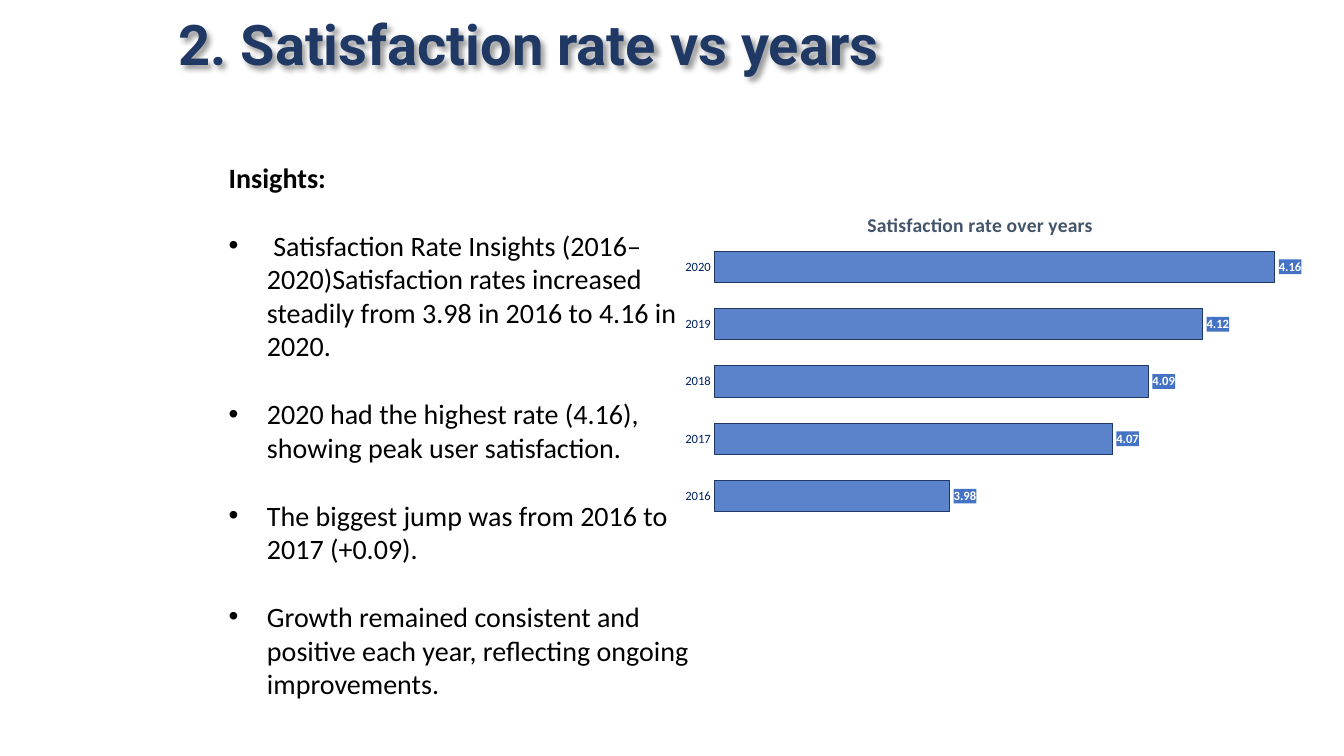
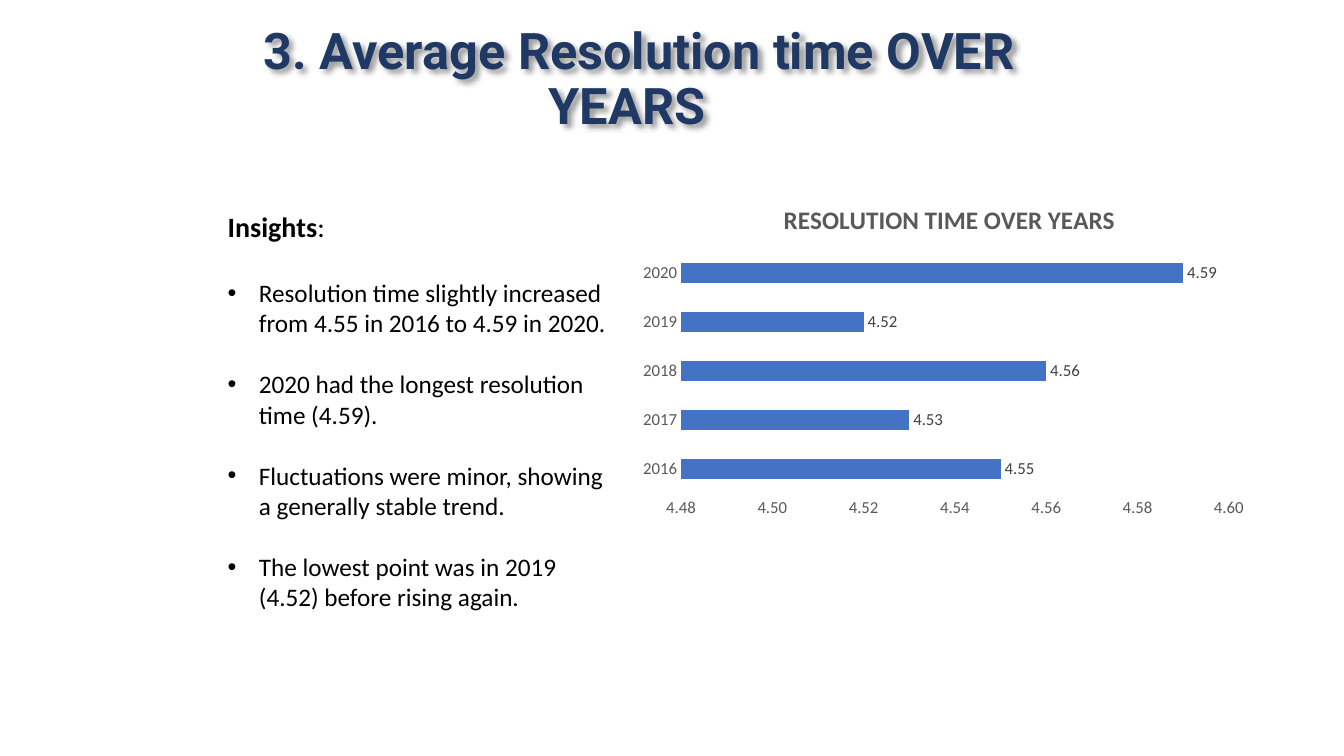
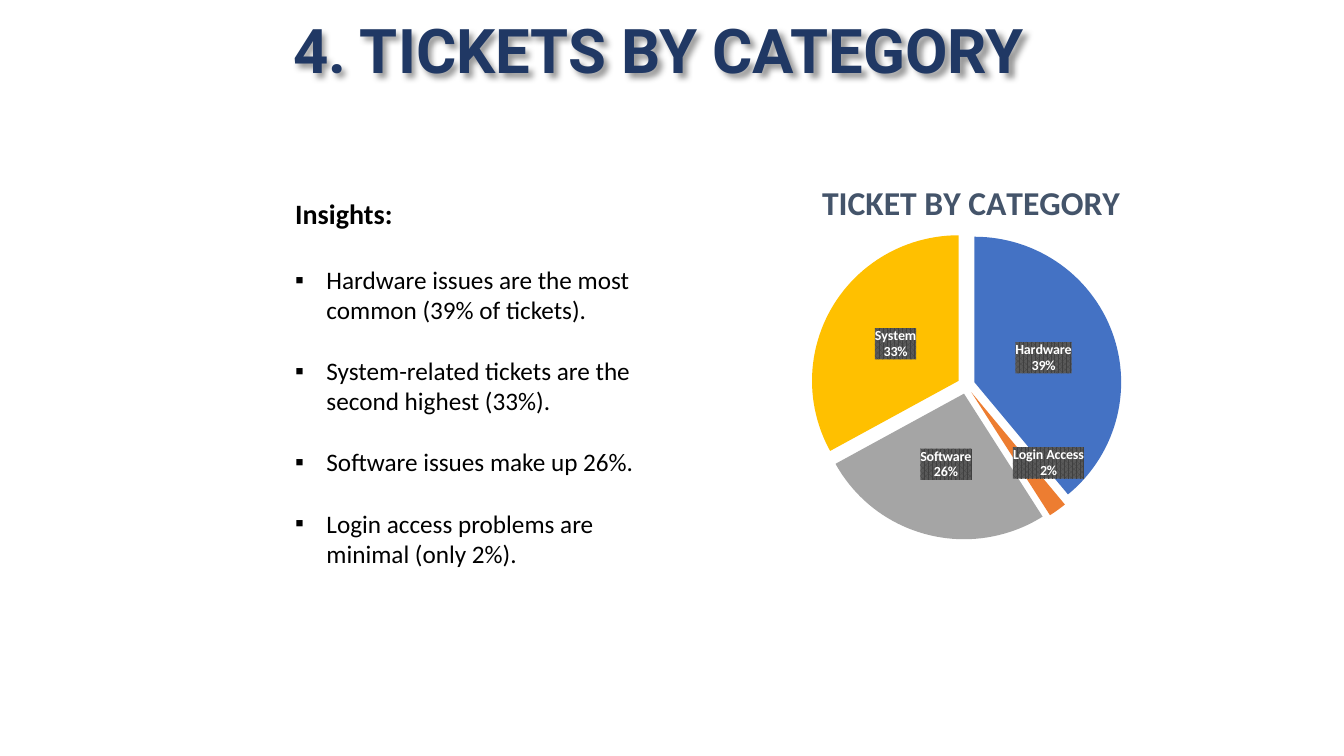
from copy import deepcopy

from pptx import Presentation
from pptx.chart.data import CategoryChartData
from pptx.dml.color import RGBColor
from pptx.enum.chart import XL_CHART_TYPE as ChartType
from pptx.enum.chart import XL_LABEL_POSITION as LabelPosition
from pptx.enum.chart import XL_TICK_MARK as TickMark
from pptx.enum.text import MSO_ANCHOR as Anchor
from pptx.enum.text import MSO_AUTO_SIZE as AutoSize
from pptx.enum.text import PP_ALIGN as Align
from pptx.oxml import parse_xml
from pptx.oxml.ns import nsdecls, qn
from pptx.util import Inches, Pt

# Shared look
NAVY = RGBColor(0x20, 0x38, 0x64)
AXIS_NAVY = RGBColor(0x00, 0x20, 0x60)
SLATE = RGBColor(0x44, 0x54, 0x6A)
BLACK = RGBColor(0x00, 0x00, 0x00)
WHITE = RGBColor(0xFF, 0xFF, 0xFF)
DARK_GREY = RGBColor(0x40, 0x40, 0x40)
MID_GREY = RGBColor(0x59, 0x59, 0x59)
BLUE = RGBColor(0x44, 0x72, 0xC4)
ORANGE = RGBColor(0xED, 0x7D, 0x31)
GREY = RGBColor(0xA5, 0xA5, 0xA5)
GOLD = RGBColor(0xFF, 0xC0, 0x00)
TITLE_FONT = "Roboto"
BODY_FONT = "Calibri"
LINE_HEIGHT = 1.22
YEARS = ["2016", "2017", "2018", "2019", "2020"]


def xml(text):
    """Parse a fragment, declaring the chart and drawing namespaces."""
    head, mark, tail = text.partition(">")
    slash = "/" if head.endswith("/") else ""
    return parse_xml(f"{head.rstrip('/')} {nsdecls('a', 'c')}{slash}{mark}{tail}")


def set_font(font, size, color, bold=False, name=BODY_FONT):
    font.name, font.size, font.bold = name, Pt(size), bold
    font.color.rgb = color


# Text
def add_text(frame, text, first=False, size=18, color=BLACK, bold=False,
             font=BODY_FONT, align=Align.LEFT, spacing=None, before=0,
             indent=0, bullet=None):
    """Write one paragraph and return it."""
    para = frame.paragraphs[0] if first else frame.add_paragraph()
    para.alignment = align
    para.space_before = Pt(before)
    if spacing:
        para.line_spacing = spacing
    span = para.add_run()
    span.text = text
    set_font(span.font, size, color, bold, font)
    props = para._p.get_or_add_pPr()
    if indent:
        props.set("marL", str(Inches(indent)))
    if bullet:
        props.set("indent", str(-Inches(indent)))
        props.append(xml('<a:buFont typeface="Arial"/>'))
        props.append(xml(f'<a:buChar char="{bullet}"/>'))
    return para


def add_box(page, left, top, width, height):
    box = page.shapes.add_textbox(*map(Inches, (left, top, width, height)))
    box.text_frame.word_wrap = True
    return box


def add_title(page, place, lines, size, align=Align.LEFT, first_indent=0):
    box = add_box(page, *place)
    box.text_frame.vertical_anchor = Anchor.MIDDLE
    for number, line in enumerate(lines):
        add_text(box.text_frame, line, first=number == 0, size=size,
                 color=NAVY, bold=True, font=TITLE_FONT, align=align,
                 spacing=0.9, indent=0 if number else first_indent)
    box._element.spPr.append(xml(
        '<a:effectLst><a:outerShdw blurRad="50800" dist="38100" dir="2700000">'
        '<a:srgbClr val="000000"><a:alpha val="40000"/></a:srgbClr>'
        '</a:outerShdw></a:effectLst>'))


def add_insights(page, place, points, size=18, indent=0.31, bullet="•",
                 bold_colon=True):
    box = add_box(page, *place)
    frame = box.text_frame
    frame.auto_size = AutoSize.SHAPE_TO_FIT_TEXT
    heading = add_text(frame, "Insights", first=True, size=20, bold=True)
    colon = heading.add_run()
    colon.text = ":"
    set_font(colon.font, 20, BLACK, bold_colon)
    for number, point in enumerate(points):
        gap = LINE_HEIGHT * (size if number else 20)
        add_text(frame, point, size=size, before=round(gap, 1),
                 indent=indent, bullet=bullet)


# Charts
def manual_layout(x, y, width=None, height=None):
    inner = '<c:layoutTarget val="inner"/>' if width else ""
    size = f'<c:w val="{width}"/><c:h val="{height}"/>' if width else ""
    return xml('<c:layout><c:manualLayout>' + inner +
               '<c:xMode val="edge"/><c:yMode val="edge"/>'
               f'<c:x val="{x}"/><c:y val="{y}"/>{size}'
               '</c:manualLayout></c:layout>')


def add_chart(page, kind, place, cats, values, title, title_at, title_size,
              title_color, plot_at, number_format="0.00"):
    data = CategoryChartData(number_format=number_format)
    data.categories = cats
    data.add_series("Series 1", values)
    chart = page.shapes.add_chart(kind, *map(Inches, place), data).chart
    set_font(chart.font, 10, BLACK)
    chart.has_legend = False
    chart.has_title = True
    frame = chart.chart_title.text_frame
    add_text(frame, title, first=True, size=title_size, color=title_color,
             bold=True, align=Align.CENTER)
    chart.chart_title.include_in_layout = False
    # Fixed places for the heading and the plot
    heading = chart._chartSpace.chart.find(qn("c:title"))
    area = chart._chartSpace.chart.plotArea
    for parent, layout in ((heading, manual_layout(*title_at)),
                           (area, manual_layout(*plot_at))):
        for old in parent.findall(qn("c:layout")):
            parent.remove(old)
        parent.insert(1 if parent is heading else 0, layout)
    return chart


def style_labels(series, size, color, bold, position, number_format="0.00",
                 fill=None):
    labels = series.data_labels
    set_font(labels.font, size, color, bold)
    labels.number_format = number_format
    labels.number_format_is_linked = False
    labels.show_value = True
    labels.position = position
    if fill:
        labels._element.find(qn("c:txPr")).addprevious(
            xml(f"<c:spPr>{fill}</c:spPr>"))
    return labels


def add_bar_chart(page, place, values, title, title_at, title_size,
                  title_color, plot_at, gap, scale, axis_size, axis_color,
                  show_values=True):
    chart = add_chart(page, ChartType.BAR_CLUSTERED, place, YEARS, values,
                      title, title_at, title_size, title_color, plot_at)
    plot = chart.plots[0]
    plot.gap_width = gap
    plot.vary_by_categories = False
    for axis in (chart.category_axis, chart.value_axis):
        axis.major_tick_mark = axis.minor_tick_mark = TickMark.NONE
        axis.has_major_gridlines = False
        axis.format.line.fill.background()
        set_font(axis.tick_labels.font, axis_size, axis_color)
    value_axis = chart.value_axis
    value_axis.minimum_scale, value_axis.maximum_scale, value_axis.major_unit = scale
    value_axis.tick_labels.number_format = "0.00"
    value_axis.tick_labels.number_format_is_linked = False
    value_axis.visible = show_values
    series = plot.series[0]
    series.format.fill.solid()
    series.format.fill.fore_color.rgb = BLUE
    return series


def add_pie_chart(page, place, slices, title, title_at, plot_at):
    chart = add_chart(page, ChartType.PIE, place, [name for name, _, _ in slices],
                      [value for _, value, _ in slices], title, title_at, 24,
                      SLATE, plot_at, number_format="0")
    chart.plots[0].vary_by_categories = True
    series = chart.plots[0].series[0]
    for number, (_, _, color) in enumerate(slices):
        fill = series.points[number].format.fill
        fill.solid()
        fill.fore_color.rgb = color
    for point in series._element.findall(qn("c:dPt")):
        point.find(qn("c:spPr")).addprevious(xml('<c:explosion val="6"/>'))
    # Name and share on a dark patterned ground
    pattern = ('<a:pattFill prst="pct75">'
               f'<a:fgClr><a:srgbClr val="{DARK_GREY}"/></a:fgClr>'
               f'<a:bgClr><a:srgbClr val="{MID_GREY}"/></a:bgClr></a:pattFill>')
    labels = style_labels(series, 10, WHITE, True, LabelPosition.CENTER, "0%",
                          pattern)
    labels.show_value = False
    labels.show_category_name = labels.show_percentage = True
    element = labels._element
    bubble = element.find(qn("c:showBubbleSize"))
    bubble.addnext(xml("<c:separator>\n</c:separator>"))
    # The thin slice has its label moved aside
    moved = xml('<c:dLbl><c:idx val="1"/><c:layout><c:manualLayout>'
                '<c:x val="0.055"/><c:y val="0.03"/>'
                '</c:manualLayout></c:layout></c:dLbl>')
    for child in element:
        if child.tag != qn("c:showLeaderLines"):
            moved.append(deepcopy(child))
    element.insert(0, moved)


# Slides
def satisfaction_slide(page):
    add_title(page, (1.67, 0.02, 9, 0.9), ["2. Satisfaction rate vs years"], 40)
    series = add_bar_chart(
        page, (6.67, 1.82, 6.78, 3.46), [3.98, 4.07, 4.09, 4.12, 4.16],
        "Satisfaction rate over years", (0.28, 0.07), 14, SLATE,
        (0.062, 0.157, 0.925, 0.822), gap=84, scale=(3.85, 4.2, 0.05),
        axis_size=9, axis_color=AXIS_NAVY, show_values=False)
    series.format.line.color.rgb = NAVY
    series.format.line.width = Pt(0.75)
    color = series._element.spPr.find(qn("a:solidFill"))[0]
    color.append(xml('<a:alpha val="88000"/>'))
    style_labels(series, 9, WHITE, True, LabelPosition.OUTSIDE_END,
                 fill=f'<a:solidFill><a:srgbClr val="{BLUE}"/></a:solidFill>')
    add_insights(page, (2.17, 1.54, 4.94, 5.49), [
        " Satisfaction Rate Insights (2016–2020)Satisfaction rates increased "
        "steadily from 3.98 in 2016 to 4.16 in 2020.",
        "2020 had the highest rate (4.16), showing peak user satisfaction.",
        "The biggest jump was from 2016 to 2017 (+0.09).",
        "Growth remained consistent and positive each year, reflecting ongoing "
        "improvements."], size=20, indent=0.38)


def resolution_slide(page):
    add_title(page, (0.9, 0.16, 10.64, 1.28),
              ["3. Average Resolution time OVER", "YEARS"], 36,
              align=Align.CENTER, first_indent=0.24)
    add_insights(page, (2.16, 2.03, 4.06, 4.41), [
        "Resolution time slightly increased from 4.55 in 2016 to 4.59 in 2020.",
        "2020 had the longest resolution time (4.59).",
        "Fluctuations were minor, showing a generally stable trend.",
        "The lowest point was in 2019 (4.52) before rising again."],
        bold_colon=False)
    series = add_bar_chart(
        page, (5.98, 1.73, 6.99, 3.84), [4.55, 4.53, 4.56, 4.52, 4.59],
        "RESOLUTION TIME OVER YEARS", (0.25, 0.06), 18, MID_GREY,
        (0.111, 0.191, 0.777, 0.634), gap=150, scale=(4.48, 4.6, 0.02),
        axis_size=12, axis_color=MID_GREY)
    style_labels(series, 12, DARK_GREY, False, LabelPosition.OUTSIDE_END)


def category_slide(page):
    add_title(page, (2.81, 0, 9, 1.06), ["4. TICKETS BY CATEGORY"], 44)
    add_insights(page, (2.83, 1.9, 4.03, 3.8), [
        "Hardware issues are the most common (39% of tickets).",
        "System-related tickets are the second highest (33%).",
        "Software issues make up 26%.",
        "Login access problems are minimal (only 2%)."], bullet="▪")
    add_pie_chart(page, (6.38, 1.46, 6.12, 3.89), [
        ("Hardware", 39, BLUE), ("Login Access", 2, ORANGE),
        ("Software", 26, GREY), ("System", 33, GOLD)],
        "TICKET BY CATEGORY", (0.28, 0.07), (0.135, 0.238, 0.777, 0.748))


def main():
    deck = Presentation()
    deck.slide_width, deck.slide_height = Inches(13.33), Inches(7.5)
    for build in (satisfaction_slide, resolution_slide, category_slide):
        build(deck.slides.add_slide(deck.slide_layouts[6]))
    deck.save("out.pptx")


if __name__ == "__main__":
    main()
